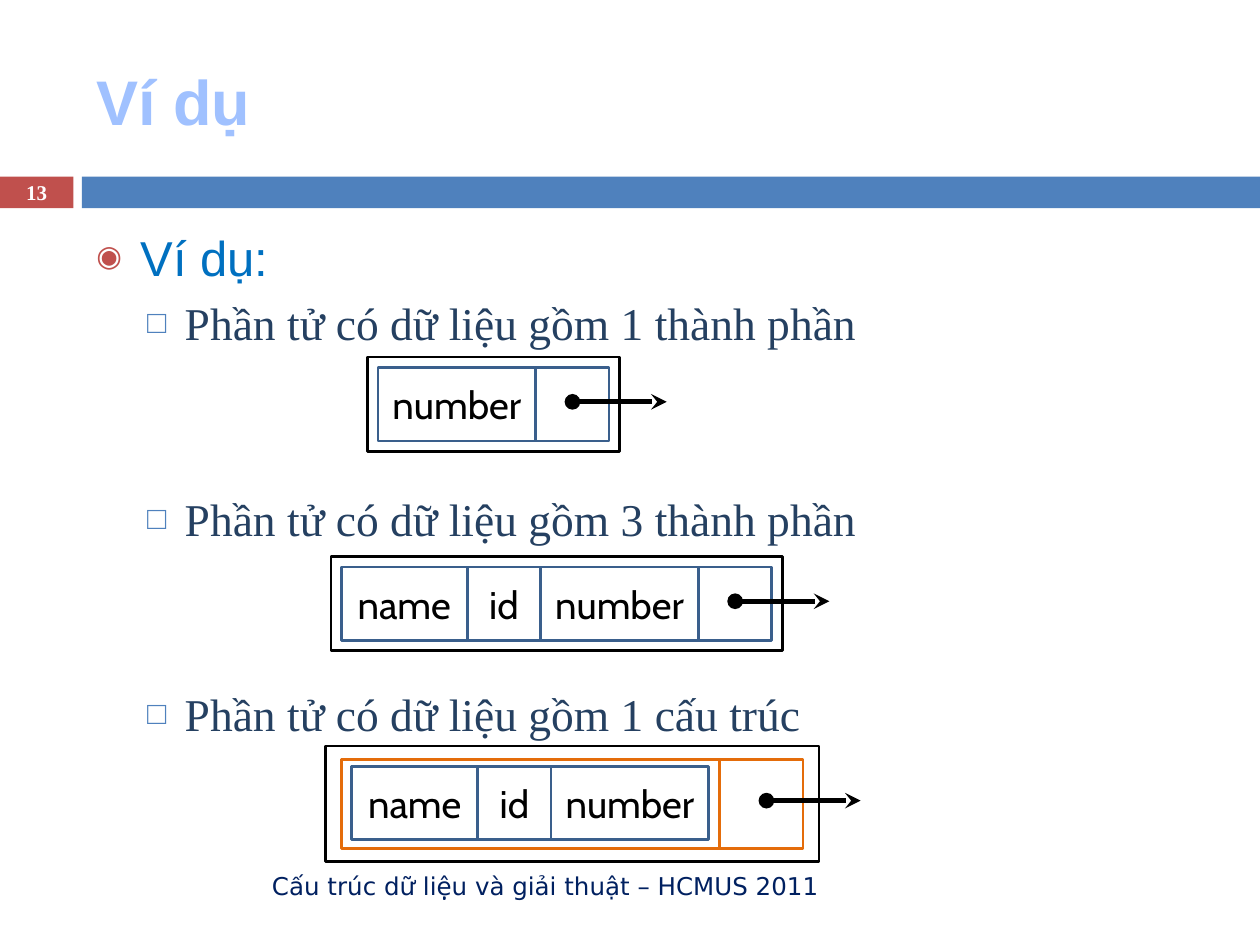
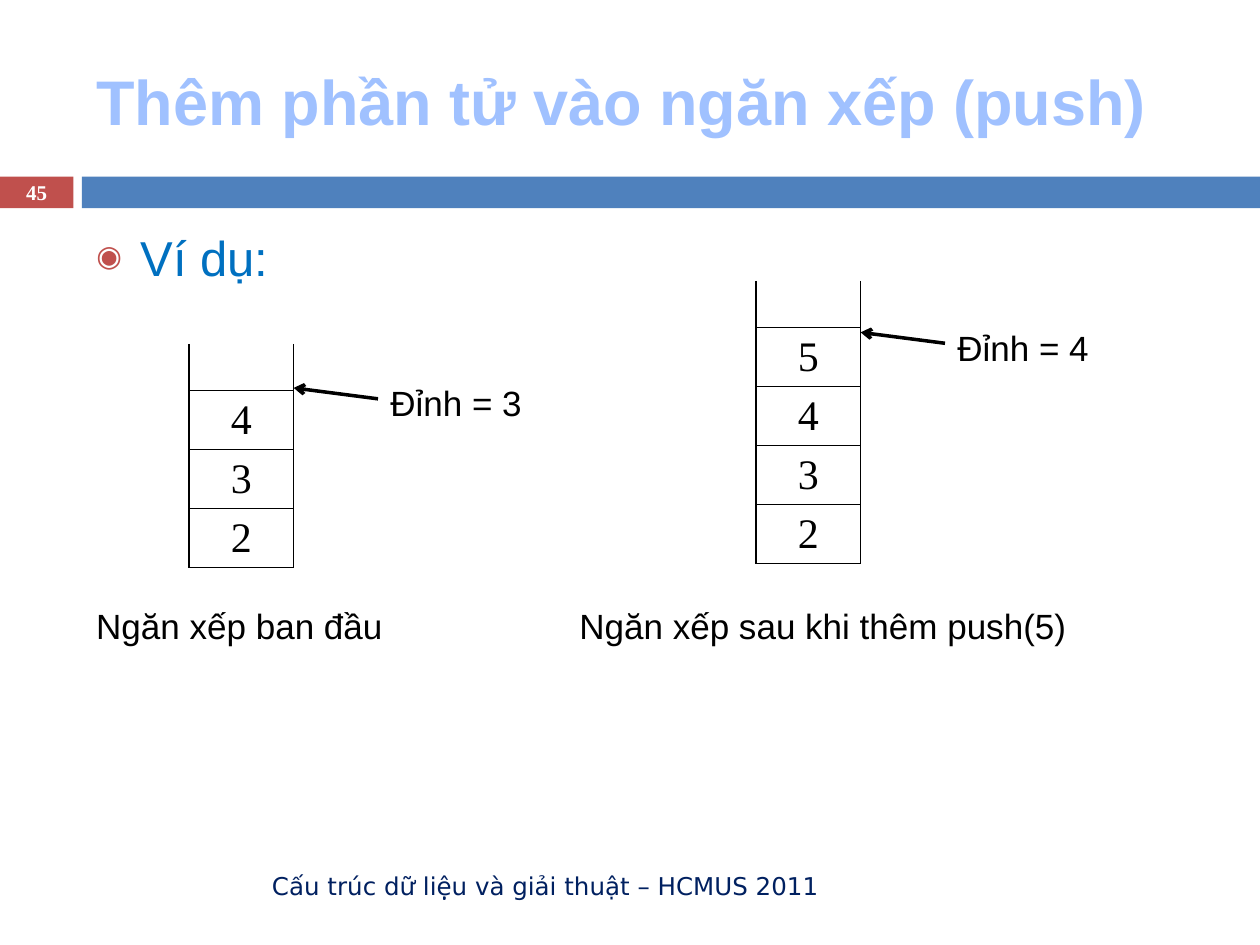
"""Builds two slides on linked-list nodes and pushing onto a stack."""
from lxml.etree import SubElement
from pptx import Presentation
from pptx.dml.color import RGBColor
from pptx.enum.shapes import MSO_CONNECTOR, MSO_SHAPE
from pptx.enum.text import MSO_ANCHOR as ANCHOR, MSO_AUTO_SIZE as AUTO, PP_ALIGN as ALIGN
from pptx.oxml import parse_xml
from pptx.oxml.ns import nsdecls, qn
from pptx.util import Cm, Pt

rgb = RGBColor.from_string
BLACK, WHITE, RED, BLUE = "000000", "FFFFFF", "C0504D", "4F81BD"
NAVY, CELL_LINE, STRUCT_LINE = "254061", "3A5F8C", "E46C0A"
SANS, SERIF = "Arial", "Times New Roman"
TITLE_AREA = (1.69, 0.64, 22.65, 2.75)
BODY_AREA = (1.69, 4.45, 22.65, 12.5)
FOOTER_AREA = (1.69, 17.36, 15.07, 1.01)


def style(p, font, size, color, align=ALIGN.LEFT, bold=False):
    p.alignment = align
    for r in p.runs:
        r.font.name, r.font.size, r.font.bold = font, Pt(size), bold
        r.font.color.rgb = rgb(color)


def arrow(shapes, start, end, width, **ends):
    c = shapes.add_connector(MSO_CONNECTOR.STRAIGHT, *map(Cm, start + end))
    c.line.color.rgb, c.line.width = rgb(BLACK), Pt(width)
    spPr = c._element.spPr
    for tag, kind in ends.items():
        SubElement(spPr.find(qn("a:ln")), qn(f"a:{tag}"), type=kind)
    SubElement(spPr, qn("a:effectLst"))


prs = Presentation()
prs.slide_width, prs.slide_height = Cm(25.4), Cm(19.05)

contents = [
    ("Ví dụ", "13", ["Phần tử có dữ liệu gồm 1 thành phần",
                     "Phần tử có dữ liệu gồm 3 thành phần",
                     "Phần tử có dữ liệu gồm 1 cấu trúc"]),
    ("Thêm phần tử vào ngăn xếp (push)", "45", []),
]
for title, number, items in contents:
    s = prs.slides.add_slide(prs.slide_layouts[1])

    for x, width, color, text in [(0, 1.48, RED, number), (1.65, 23.75, BLUE, "")]:
        sp = s.shapes.add_shape(MSO_SHAPE.RECTANGLE, *map(Cm, (x, 3.56, width, 0.64)))
        sp.shadow.inherit = False
        sp.fill.solid()
        sp.fill.fore_color.rgb = rgb(color)
        sp.line.fill.background()
        tf = sp.text_frame
        tf.margin_top = tf.margin_bottom = 0
        tf.text = text
        style(tf.paragraphs[0], SERIF, 12, WHITE, ALIGN.CENTER, True)

    footer = s.shapes.add_textbox(*map(Cm, FOOTER_AREA))
    footer.text_frame.text = "Cấu trúc dữ liệu và giải thuật – HCMUS 2011"
    footer.text_frame.word_wrap = True
    footer.text_frame.vertical_anchor = ANCHOR.MIDDLE
    style(footer.text_frame.paragraphs[0], "DejaVu Sans", 14, "002060", ALIGN.RIGHT)

    body = s.placeholders[1]
    for sp, area in [(s.shapes.title, TITLE_AREA), (body, BODY_AREA)]:
        sp.left, sp.top, sp.width, sp.height = map(Cm, area)
        sp.text_frame.auto_size = AUTO.NONE
    tf = s.shapes.title.text_frame
    tf.text = title
    tf.vertical_anchor = ANCHOR.MIDDLE
    style(tf.paragraphs[0], SANS, 36, "A0C1FF", bold=True)

    tf = body.text_frame
    tf.text = "\n".join(["Ví dụ:"] + items)
    for i, p in enumerate(tf.paragraphs):
        p.level = min(i, 1)
        margin, hang, color, size, char = [
            (0.89, 0.89, RED, 60, "◉"), (1.78, 0.76, BLUE, 70, "□")][p.level]
        pPr = p._p.get_or_add_pPr()
        pPr.set("marL", str(Cm(margin)))
        pPr.set("indent", str(-Cm(hang)))
        SubElement(SubElement(pPr, qn("a:buClr")), qn("a:srgbClr"), val=color)
        SubElement(pPr, qn("a:buSzPct"), val=f"{size}000")
        SubElement(pPr, qn("a:buFont"), typeface=SANS)
        SubElement(pPr, qn("a:buChar"), char=char)
        p.space_before = Pt([0, 5.5, 80.4, 80.4][i])
        style(p, *[(SANS, 28, "0070C0"), (SERIF, 26, NAVY)][p.level])

node_slide, stack_slide = prs.slides

field_widths = {"name": 2.54, "id": 1.48, "number": 3.18}
cell_h, pointer_w, pad = 1.48, 1.48, 0.21
nodes = [
    (7.62, 7.41, ["number"], False),
    (6.88, 11.43, ["name", "id", "number"], False),
    (7.09, 15.45, ["name", "id", "number"], True),
]
for left, top, fields, is_struct in nodes:
    shapes = node_slide.shapes.add_group_shape().shapes
    boxes = []
    x = left
    for field in fields:
        boxes.append((x, top, field_widths[field], cell_h, CELL_LINE, field))
        x += field_widths[field]
    if is_struct:
        y, height = top - 0.14, 1.8
        boxes.append((left - pad, y, x - left + 2 * pad, height, STRUCT_LINE, ""))
        boxes.append((x + pad, y, 1.69, height, STRUCT_LINE, ""))
        right = x + pad + 1.69
        boxes.append((left - 0.53, top - 0.41, right - left + 0.85, 2.33, BLACK, ""))
    else:
        boxes.append((x, top, pointer_w, cell_h, CELL_LINE, ""))
        right = x + pointer_w
        boxes.append((left - pad, top - pad, right - left + 2 * pad,
                      cell_h + 2 * pad, BLACK, ""))
    for *area, color, text in boxes:
        sp = shapes.add_shape(MSO_SHAPE.RECTANGLE, *map(Cm, area))
        sp.shadow.inherit = False
        sp.fill.background()
        sp.line.color.rgb, sp.line.width = rgb(color), Pt(1.5)
        tf = sp.text_frame
        tf.margin_left = tf.margin_right = 0
        tf.text = text
        tf.vertical_anchor = ANCHOR.MIDDLE
        style(tf.paragraphs[0], "Cabin", 22, BLACK, ALIGN.CENTER)
    dot = right - 0.74
    arrow(shapes, (dot, top + 0.69), (dot + 1.9, top + 0.69), 3,
          headEnd="oval", tailEnd="stealth")

labels = [(1.69, 12.07, 6.35, "Ngăn xếp ban đầu"),
          (11.43, 12.07, 10.36, "Ngăn xếp sau khi thêm push(5)")]
stacks = [(3.81, 6.93, 7.57, "432"), (15.24, 5.66, 6.45, "5432")]
for left, top, label_y, values in stacks:
    rows = ["", *values]
    table = stack_slide.shapes.add_table(
        len(rows), 1, *map(Cm, (left, top, 2.11, 0.94 + 1.19 * len(values)))).table
    table.first_row = table.horz_banding = False
    for i, value in enumerate(rows):
        table.rows[i].height = Cm(1.19 if value else 0.94)
        cell = table.cell(i, 0)
        cell.margin_top = cell.margin_bottom = Cm(0.05)
        cell.vertical_anchor = ANCHOR.MIDDLE
        cell.text = value
        style(cell.text_frame.paragraphs[0], SERIF, 24, BLACK, ALIGN.CENTER)
        cell.fill.background()
        tcPr = cell._tc.get_or_add_tcPr()
        for k, side in enumerate("LRTB"):
            paint = (f'<a:solidFill><a:srgbClr val="{BLACK}"/></a:solidFill>'
                     if value or side != "T" else "<a:noFill/>")
            tcPr.insert(k, parse_xml(
                f'<a:ln{side} {nsdecls("a")} w="{Pt(1)}">{paint}</a:ln{side}>'))
    labels.append((left + 3.81, label_y, 3.18, f"Đỉnh = {len(values)}"))
    arrow(stack_slide.shapes, (left + 3.81, label_y + 0.47),
          (left + 2.11, label_y + 0.25), 2, tailEnd="arrow")

for x, y, width, text in labels:
    sp = stack_slide.shapes.add_textbox(*map(Cm, (x, y, width, 1.11)))
    sp.text_frame.text = text
    sp.text_frame.word_wrap = True
    style(sp.text_frame.paragraphs[0], SANS, 20, BLACK)

prs.save("out.pptx")
